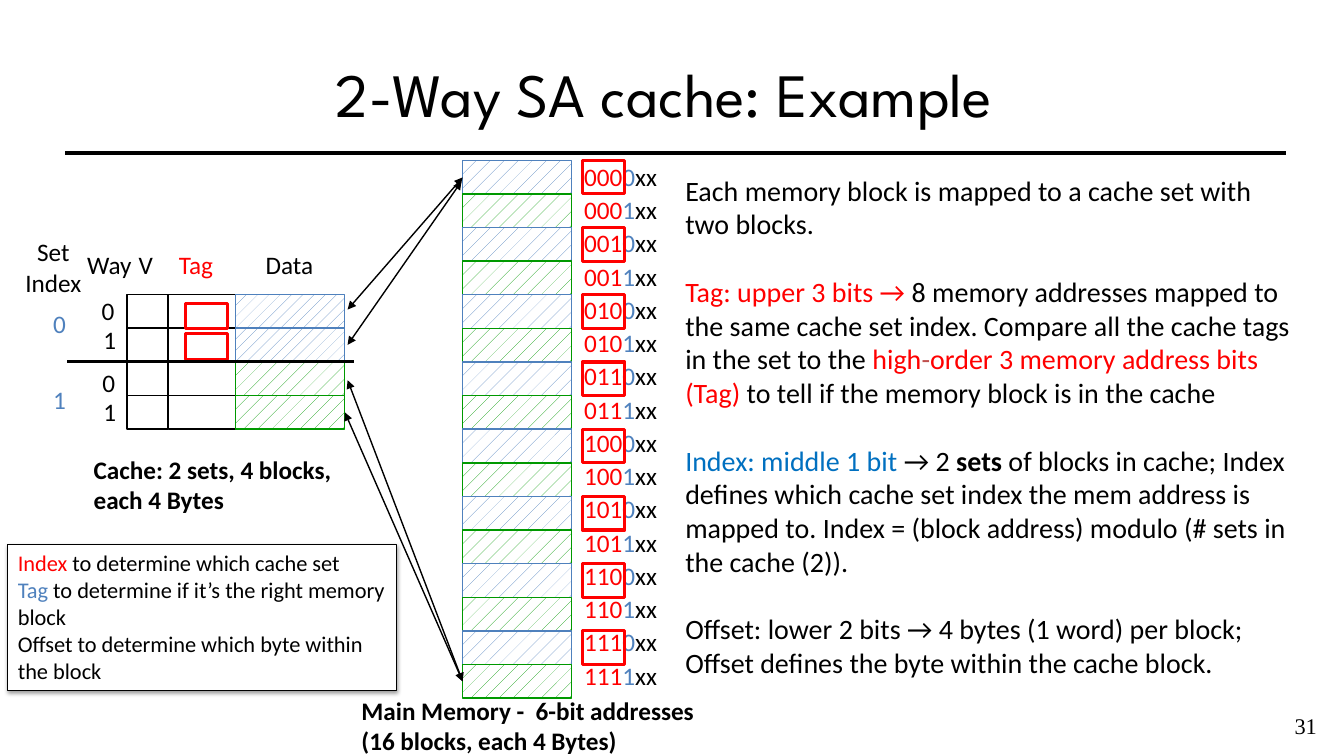
from lxml import etree
from pptx import Presentation
from pptx.dml.color import RGBColor
from pptx.enum import dml, shapes, text
from pptx.oxml.ns import qn
from pptx.util import Cm, Pt

BLACK = RGBColor(0x00, 0x00, 0x00)
WHITE = RGBColor(0xFF, 0xFF, 0xFF)
RED = RGBColor(0xFF, 0x00, 0x00)
BRICK = RGBColor(0xC0, 0x50, 0x4D)
BLUE = RGBColor(0x4F, 0x81, 0xBD)
DEEP_BLUE = RGBColor(0x00, 0x70, 0xC0)
GREEN = RGBColor(0x00, 0x99, 0x00)
LEFT, CENTER = text.PP_ALIGN.LEFT, text.PP_ALIGN.CENTER
PCT5, PCT10 = dml.MSO_PATTERN.PERCENT_5, dml.MSO_PATTERN.PERCENT_10

ROW = 13.55 / 16
BLOCK_W = 2.75
MEM_X, MEM_Y = 11.66, 4.04
CACHE_Y = 7.42
DATA_X = 5.94


def box(x, y, w, h, color, weight=1, pattern=None):
    sp = s.shapes.add_shape(shapes.MSO_SHAPE.RECTANGLE, Cm(x), Cm(y), Cm(w), Cm(h))
    sp.shadow.inherit = False
    sp.line.color.rgb = color
    sp.line.width = Pt(weight)
    if pattern is None:
        sp.fill.background()
    else:
        sp.fill.patterned()
        sp.fill.pattern = pattern
        sp.fill.fore_color.rgb = color
        sp.fill.back_color.rgb = WHITE
    return sp


def write(sp, paras, size=18, align=LEFT, bold=False, wrap=True, gap=0, spacing=None, font="Calibri"):
    """Fill a shape with paragraphs, each a list of (text, colour, optional bold) runs."""
    tf = sp.text_frame
    tf.word_wrap = wrap
    tf.vertical_anchor = text.MSO_ANCHOR.TOP
    for i, runs in enumerate(paras):
        p = tf.add_paragraph() if i else tf.paragraphs[0]
        p.alignment = align
        p.line_spacing = spacing
        if i and gap:
            p.space_before = Pt(gap)
        p.font.name = font
        p.font.size = Pt(size)
        p.font.bold = bold
        for words, color, *strong in runs:
            r = p.add_run()
            r.text = words
            r.font.color.rgb = color
            if strong:
                r.font.bold = True


prs = Presentation()
prs.slide_width, prs.slide_height = Cm(33.87), Cm(19.05)
s = prs.slides.add_slide(prs.slide_layouts[5])

title = s.shapes.title
title.left, title.top, title.width, title.height = Cm(1.7), Cm(0.76), Cm(30.48), Cm(3.18)
title.text_frame.text = "2-Way SA cache: Example "
title.text_frame.vertical_anchor = text.MSO_ANCHOR.MIDDLE
p = title.text_frame.paragraphs[0]
p.alignment = CENTER
p.font.name = "League Spartan"
p.font.size = Pt(44)
p.font.color.rgb = BLACK

# Main memory: blocks alternate between set 0 (blue) and set 1 (green)
for i in range(16):
    box(MEM_X, MEM_Y + i * ROW, BLOCK_W, ROW, GREEN if i % 2 else BLUE, pattern=PCT5)
addresses = [[(f"{i // 2:03b}", RED), (str(i % 2), BLUE), ("xx", BLACK)] for i in range(16)]
write(s.shapes.add_textbox(Cm(14.27), Cm(3.86), Cm(2.74), Cm(13.79)), addresses,
      align=CENTER, spacing=1.1)
for i in range(0, 16, 2):
    box(14.68, MEM_Y + i * ROW, 1.07, ROW, RED, 2.25)

# Cache: valid, tag and data columns, two ways per set
for i in range(4):
    y = CACHE_Y + i * ROW
    box(3.2, y, 1.04, ROW, BLACK)
    box(4.24, y, 1.7, ROW, BLACK)
    if i < 2:
        box(DATA_X, y, BLOCK_W, ROW, BLUE, pattern=PCT10)
    else:
        box(DATA_X, y, BLOCK_W, ROW, GREEN, pattern=PCT5)
for y in (7.65, 8.41):
    box(4.67, y, 1.07, 0.64, RED, 2.25)

# Header rule, set divider, and double arrows between cache and memory
lines = [
    (1.65, 3.86, 32.41, 3.86, 3, False),
    (1.7, CACHE_Y + 2 * ROW, 8.92, CACHE_Y + 2 * ROW, 2.25, False),
    (11.66, 4.47, 8.76, 7.8, 1, True),
    (11.63, 4.57, 8.76, 8.69, 1, True),
    (8.69, 10.39, 11.66, 17.17, 1, True),
    (8.76, 9.58, 11.66, 17.17, 1, True),
]
for x1, y1, x2, y2, weight, arrow in lines:
    cn = s.shapes.add_connector(shapes.MSO_CONNECTOR.STRAIGHT, Cm(x1), Cm(y1), Cm(x2), Cm(y2))
    cn.line.color.rgb = BLACK
    cn.line.width = Pt(weight)
    if arrow:
        ln = cn.line._get_or_add_ln()
        for end in ("a:headEnd", "a:tailEnd"):
            etree.SubElement(ln, qn(end), type="triangle")
    etree.SubElement(cn._element.spPr, qn("a:effectLst"))

# Short labels around the cache
labels = [
    (0.38, 5.84, 1.93, ["Set", "Index"], BLACK),
    (1.93, 6.15, 1.65, ["Way"], BLACK),
    (3.23, 6.15, 0.89, ["V"], BLACK),
    (4.24, 6.15, 1.4, ["Tag"], RED),
    (6.43, 6.15, 1.73, ["Data"], BLACK),
    (1.07, 7.65, 0.86, ["0"], BLUE),
    (1.07, 9.55, 0.86, ["1"], BLUE),
    (2.29, 7.32, 0.86, ["0"], BLACK),
    (2.34, 8.05, 0.86, ["1"], BLACK),
    (2.31, 9.12, 0.86, ["0"], BLACK),
    (2.34, 9.86, 0.86, ["1"], BLACK),
]
for x, y, w, words, color in labels:
    tb = s.shapes.add_textbox(Cm(x), Cm(y), Cm(w), Cm(1.02 if len(words) == 1 else 1.8))
    write(tb, [[(word, color)] for word in words], align=CENTER, wrap=False)

# Captions
write(s.shapes.add_textbox(Cm(2.11), Cm(11.33), Cm(6.63), Cm(1.8)),
      [[("Cache: 2 sets, 4 blocks, each 4 Bytes", BLACK)]], bold=True)
write(s.shapes.add_textbox(Cm(8.86), Cm(17.4), Cm(8.89), Cm(1.8)),
      [[("Main Memory -  6-bit addresses", BLACK)], [("(16 blocks, each 4 Bytes)", BLACK)]], bold=True)

# Summary box with a soft shadow
summary = box(0.2, 13.72, 9.8, 3.68, BLACK, 0.75)
summary.fill.solid()
summary.fill.fore_color.rgb = WHITE
shadow = etree.SubElement(summary._element.spPr.find(qn("a:effectLst")), qn("a:outerShdw"),
                          blurRad=str(Pt(3.1)), dist=str(Pt(1.6)), dir="5400000", rotWithShape="0")
shade = etree.SubElement(shadow, qn("a:srgbClr"), val="000000")
etree.SubElement(shade, qn("a:alpha"), val="38000")
write(summary, [
    [("Index", RED), (" to determine which cache set", BLACK)],
    [("Tag", BLUE), (" to determine if it’s the right memory block", BLACK)],
    [("Offset to determine which byte within the block", BLACK)],
], size=16)

# Explanation
write(s.shapes.add_textbox(Cm(17.02), Cm(4.24), Cm(16), Cm(13.08)), [
    [("Each memory block is mapped to a cache set with two blocks.", BLACK)],
    [("Tag: upper 3 bits → ", RED),
     ("8 memory addresses mapped to the same cache set index. "
      "Compare all the cache tags in the set to the ", BLACK),
     ("high", RED), ("-", BRICK), ("order 3 memory address bits (Tag)", RED),
     (" to tell if the memory block is in the cache", BLACK)],
    [("Index: middle 1 bit ", DEEP_BLUE), ("→ 2 ", BLACK), ("sets", BLACK, True),
     (" of blocks in cache; Index defines which cache set index the mem address is mapped to. "
      "Index = (block address) modulo (# sets in the cache (2)).", BLACK)],
    [("Offset: lower 2 bits → 4 bytes (1 word) per block; "
      "Offset defines the byte within the cache block.", BLACK)],
], size=20, gap=24.4)

write(s.shapes.add_textbox(Cm(32.18), Cm(17.83), Cm(1.45), Cm(0.97)),
      [[("31", BLACK)]], size=16, align=CENTER, font="Times New Roman")

prs.save("out.pptx")
